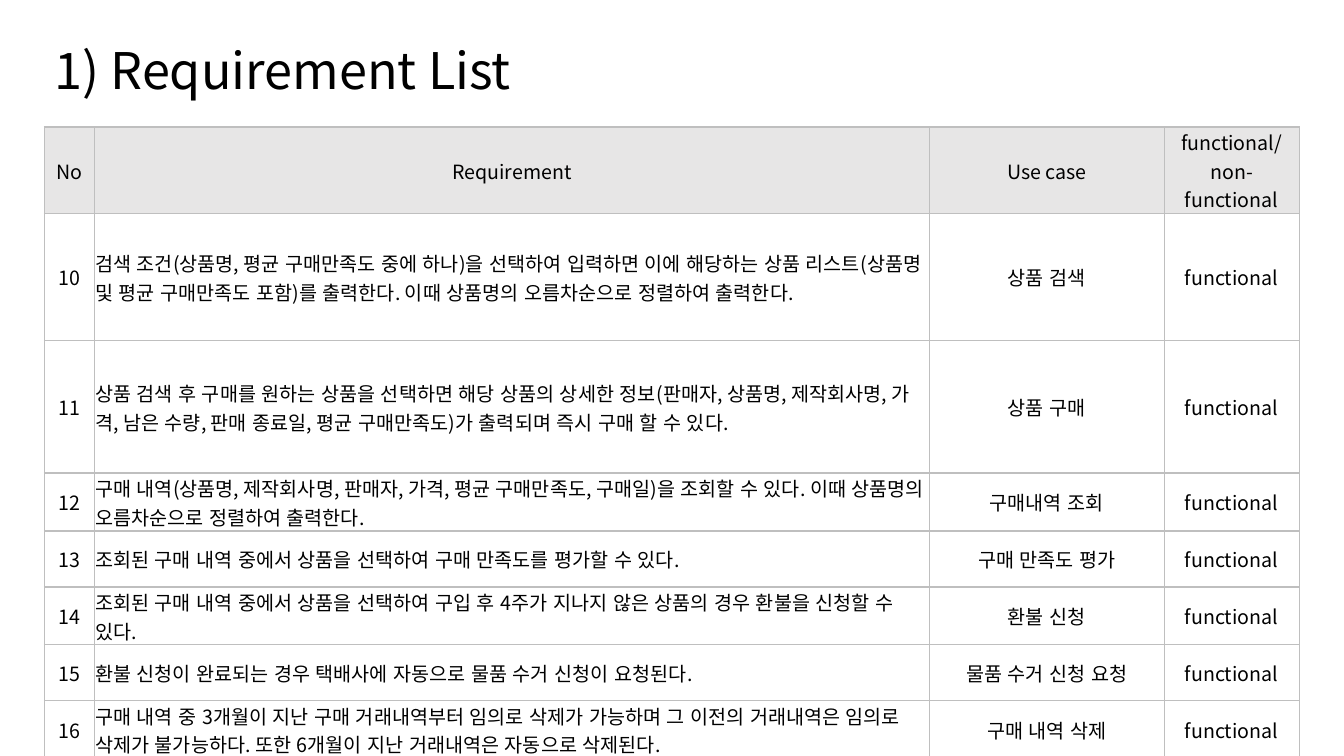
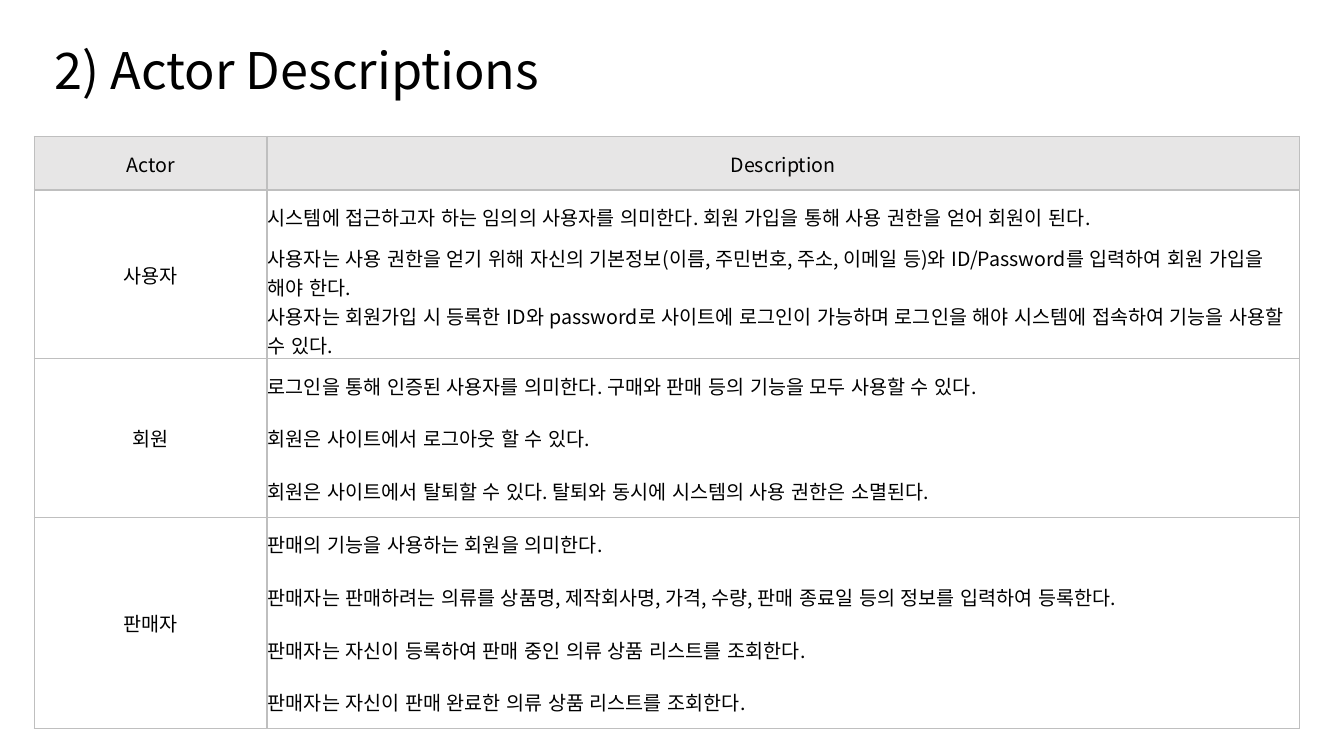
from lxml import etree
from pptx import Presentation, util as u
from pptx.dml.color import RGBColor
from pptx.enum import text as t
from pptx.oxml.ns import qn

HUE = {"ink": "000000", "head": "E7E6E6", "line": "BFBFBF"}
FONT = "Noto Sans CJK KR"
PLAIN = "{2D5ABB26-0587-4C30-8999-92F81FD0307C}"  # table style without grid
MID, LEFT = t.PP_ALIGN.CENTER, t.PP_ALIGN.LEFT


def put(frame, words, size=14, align=LEFT, gap=None):
    """Write one paragraph, unkerned and in Korean, into a text frame."""
    frame.word_wrap = True
    para = frame.paragraphs[0]
    para.alignment = align
    para.line_spacing = gap
    run = para.add_run()
    run.text = words
    run.font.size = u.Pt(size)
    run.font.name = FONT
    run.font.color.rgb = RGBColor.from_string(HUE["ink"])
    props = run._r.get_or_add_rPr()
    props.set("lang", "ko-KR")
    props.set("kern", "0")
    etree.SubElement(props, qn("a:ea")).set("typeface", FONT)


def edge(cell, shown):
    """Draw thin lines on the shown sides of a cell and none on the others."""
    props = cell._tc.get_or_add_tcPr()
    for i, side in enumerate("LRTB"):
        line = etree.Element(qn("a:ln" + side), w=str(u.Pt(1)))
        if side in shown:
            fill = etree.SubElement(line, qn("a:solidFill"))
            etree.SubElement(fill, qn("a:srgbClr"), val=HUE["line"])
        else:
            etree.SubElement(line, qn("a:noFill"))
        props.insert(i, line)


# Requirements: number, text, use case
needs = [
    ("10", "검색 조건(상품명, 평균 구매만족도 중에 하나)을 선택하여 입력하면 이에 해당하는 상품 리스트(상품명 및 평균 구매만족도 포함)를 출력한다. 이때 상품명의 오름차순으로 정렬하여 출력한다.", "상품 검색"),
    ("11", "상품 검색 후 구매를 원하는 상품을 선택하면 해당 상품의 상세한 정보(판매자, 상품명, 제작회사명, 가격, 남은 수량, 판매 종료일, 평균 구매만족도)가 출력되며 즉시 구매 할 수 있다.", "상품 구매"),
    ("12", "구매 내역(상품명, 제작회사명, 판매자, 가격, 평균 구매만족도, 구매일)을 조회할 수 있다. 이때 상품명의 오름차순으로 정렬하여 출력한다.", "구매내역 조회"),
    ("13", "조회된 구매 내역 중에서 상품을 선택하여 구매 만족도를 평가할 수 있다.", "구매 만족도 평가"),
    ("14", "조회된 구매 내역 중에서 상품을 선택하여 구입 후 4주가 지나지 않은 상품의 경우 환불을 신청할 수 있다.", "환불 신청"),
    ("15", "환불 신청이 완료되는 경우 택배사에 자동으로 물품 수거 신청이 요청된다.", "물품 수거 신청 요청"),
    ("16", "구매 내역 중 3개월이 지난 구매 거래내역부터 임의로 삭제가 가능하며 그 이전의 거래내역은 임의로 삭제가 불가능하다. 또한 6개월이 지난 거래내역은 자동으로 삭제된다.", "구매 내역 삭제"),
]

# Actors and what each one does
actors = {
    "사용자": [
        "시스템에 접근하고자 하는 임의의 사용자를 의미한다. 회원 가입을 통해 사용 권한을 얻어 회원이 된다.",
        "사용자는 사용 권한을 얻기 위해 자신의 기본정보(이름, 주민번호, 주소, 이메일 등)와 ID/Password를 입력하여 회원 가입을 해야 한다.",
        "사용자는 회원가입 시 등록한 ID와 password로 사이트에 로그인이 가능하며 로그인을 해야 시스템에 접속하여 기능을 사용할 수 있다.",
    ],
    "회원": [
        "로그인을 통해 인증된 사용자를 의미한다. 구매와 판매 등의 기능을 모두 사용할 수 있다.",
        "회원은 사이트에서 로그아웃 할 수 있다.",
        "회원은 사이트에서 탈퇴할 수 있다. 탈퇴와 동시에 시스템의 사용 권한은 소멸된다.",
    ],
    "판매자": [
        "판매의 기능을 사용하는 회원을 의미한다.",
        "판매자는 판매하려는 의류를 상품명, 제작회사명, 가격, 수량, 판매 종료일 등의 정보를 입력하여 등록한다.",
        "판매자는 자신이 등록하여 판매 중인 의류 상품 리스트를 조회한다.",
        "판매자는 자신이 판매 완료한 의류 상품 리스트를 조회한다.",
    ],
}

# Each slide: title, table corner, column widths, row heights, groups of rows
pages = [
    ("1) Requirement List", (1.12, 3.2), (1.26, 21.04, 5.92, 3.4),
     [2.18, 3.2, 3.34, 1.46, 1.41, 1.46, 1.4, 1.46],
     [[("No", "Requirement", "Use case", "functional/non-functional")]]
     + [[(*need, "functional")] for need in needs]),
    ("2) Actor Descriptions", (0.86, 3.44), (5.87, 26.01),
     [1.35, 1.33, 1.46, 1.46] + [1.33] * 7,
     [[("Actor", "Description")]]
     + [[(name, note) for note in notes] for name, notes in actors.items()]),
]

deck = Presentation()
deck.slide_width, deck.slide_height = u.Cm(33.87), u.Cm(19.05)

for title, (left, top), widths, highs, groups in pages:
    slide = deck.slides.add_slide(deck.slide_layouts[6])

    # Title
    box = slide.shapes.add_textbox(u.Cm(1.12), 0, u.Cm(29.21), u.Cm(3.68))
    box.text_frame.vertical_anchor = t.MSO_ANCHOR.MIDDLE
    put(box.text_frame, title, size=36, gap=0.9)

    # Table frame
    table = slide.shapes.add_table(
        len(highs), len(widths), u.Cm(left), u.Cm(top),
        u.Cm(sum(widths)), u.Cm(sum(highs))).table
    table.first_row = table.horz_banding = False
    table._tbl.tblPr.find(qn("a:tableStyleId")).text = PLAIN
    for col, width in zip(table.columns, widths):
        col.width = u.Cm(width)
    for row, high in zip(table.rows, highs):
        row.height = u.Cm(high)

    # Cells: a group shares its first cell and has no lines inside
    r = 0
    for group in groups:
        first, last = r, r + len(group) - 1
        for row in group:
            for c, words in enumerate(row):
                cell = table.cell(r, c)
                cell.margin_left = cell.margin_right = u.Cm(0.02)
                cell.margin_top, cell.margin_bottom = u.Cm(0.02), 0
                cell.vertical_anchor = t.MSO_ANCHOR.MIDDLE
                if r == 0:
                    cell.fill.solid()
                    cell.fill.fore_color.rgb = RGBColor.from_string(HUE["head"])
                else:
                    cell.fill.background()
                shown = "LR"
                if r == first:
                    shown += "T"
                if r == last or c == 0 and r == first:
                    shown += "B"
                edge(cell, shown)
                if c or r == first:
                    put(cell.text_frame, words,
                        align=LEFT if r and c == 1 else MID)
            r += 1
        if last > first:
            table.cell(first, 0).merge(table.cell(last, 0))

deck.save("out.pptx")
